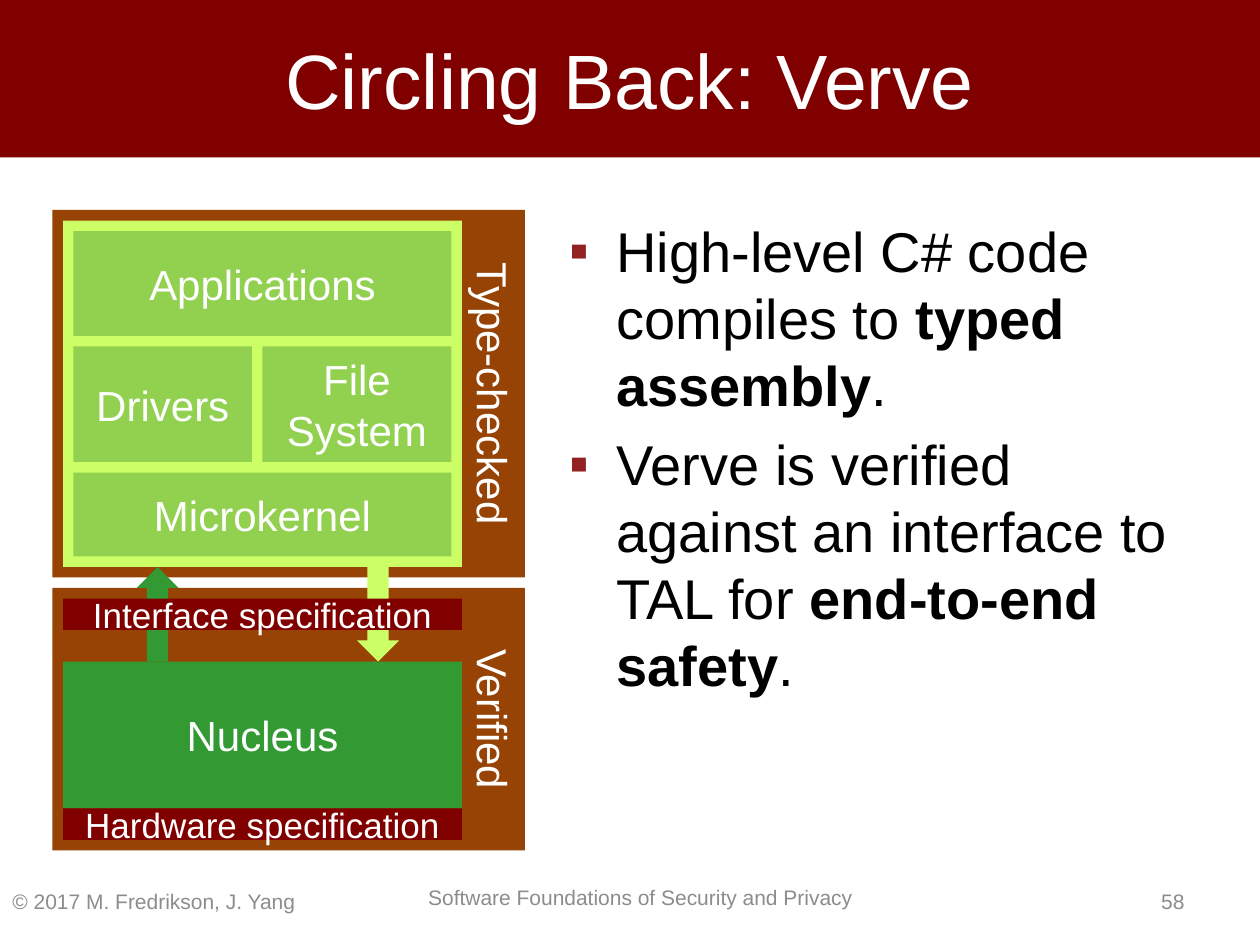
from lxml import etree
from pptx import Presentation
from pptx.dml.color import RGBColor
from pptx.enum.shapes import MSO_SHAPE
from pptx.enum.text import MSO_ANCHOR, MSO_AUTO_SIZE, PP_ALIGN
from pptx.oxml.ns import qn
from pptx.util import Pt

RECT, UP, DOWN = MSO_SHAPE.RECTANGLE, MSO_SHAPE.UP_ARROW, MSO_SHAPE.DOWN_ARROW
TOP, MIDDLE = MSO_ANCHOR.TOP, MSO_ANCHOR.MIDDLE
LEFT, CENTER, RIGHT = PP_ALIGN.LEFT, PP_ALIGN.CENTER, PP_ALIGN.RIGHT
NO_AUTOFIT = MSO_AUTO_SIZE.NONE

MAROON, BROWN, GREEN = "800000", "964305", "339933"
LIME, LEAF, WHITE, GREY = "CCFF66", "92D050", "FFFFFF", "8C8C8C"


def rgb(color):
    return RGBColor.from_string(color)


def set_text(shape, text, size, color, align=CENTER, anchor=MIDDLE):
    frame = shape.text_frame
    frame.word_wrap = True
    frame.auto_size = NO_AUTOFIT
    frame.vertical_anchor = anchor
    frame.text = text
    paragraph = frame.paragraphs[0]
    paragraph.alignment = align
    paragraph.font.name = "Arial"
    paragraph.font.size = Pt(size)
    paragraph.font.color.rgb = rgb(color)


prs = Presentation()
prs.slide_width, prs.slide_height = Pt(720), Pt(540)
slide = prs.slides.add_slide(prs.slide_layouts[1])

# Title banner
title = slide.shapes.title
title.left, title.top, title.width, title.height = Pt(0), Pt(0), Pt(720), Pt(90)
title.fill.solid()
title.fill.fore_color.rgb = rgb(MAROON)
set_text(title, "Circling Back: Verve", 44, WHITE)

# Bullet list
points = [
    [("High-level C# code compiles to ", False), ("typed assembly", True), (".", False)],
    [("Verve is verified against an interface to TAL for ", False),
     ("end-to-end safety", True), (".", False)],
]
body = slide.placeholders[1]
body.left, body.top, body.width, body.height = Pt(318), Pt(120), Pt(378), Pt(348)
body.text_frame.auto_size = NO_AUTOFIT
for number, point in enumerate(points):
    paragraph = body.text_frame.paragraphs[0] if number == 0 else body.text_frame.add_paragraph()
    paragraph.space_before = Pt(6.4 if number else 0)
    props = paragraph._p.get_or_add_pPr()
    props.set("marL", str(Pt(27)))
    props.set("indent", str(Pt(-27)))
    bullet_color = etree.SubElement(props, qn("a:buClr"))
    etree.SubElement(bullet_color, qn("a:srgbClr"), val="922222")
    etree.SubElement(props, qn("a:buFont"), typeface="Arial")
    etree.SubElement(props, qn("a:buChar"), char="▪")
    paragraph.font.name = "Arial"
    paragraph.font.size = Pt(32)
    paragraph.font.color.rgb = rgb("000000")
    for words, bold in point:
        run = paragraph.add_run()
        run.text = words
        if bold:
            run.font.bold = True

# Architecture diagram, back to front: shape, left, top, width, height, fill, label, size
parts = [
    (RECT, 30, 336, 270, 150, BROWN, "Verified", 24),
    (RECT, 30, 120, 270, 210, BROWN, "Type-checked", 24),
    (RECT, 36, 378, 228, 84, GREEN, "Nucleus", 24),
    (RECT, 36, 126, 228, 198, LIME, "", 24),
    (RECT, 150, 198, 108, 66, LEAF, "File System", 24),
    (RECT, 42, 198, 102, 66, LEAF, "Drivers", 24),
    (RECT, 42, 132, 216, 60, LEAF, "Applications", 24),
    (RECT, 42, 270, 216, 48, LEAF, "Microkernel", 24),
    (DOWN, 204, 324, 24, 54, LIME, "", 24),
    (UP, 78, 324, 24, 54, GREEN, "", 24),
    (RECT, 36, 462, 228, 18, MAROON, "Hardware specification", 20),
    (RECT, 36, 342, 228, 18, MAROON, "Interface specification", 20),
]
for kind, left, top, width, height, fill, label, size in parts:
    part = slide.shapes.add_shape(kind, Pt(left), Pt(top), Pt(width), Pt(height))
    part.shadow.inherit = False
    part.fill.solid()
    part.fill.fore_color.rgb = rgb(fill)
    part.line.fill.background()
    if label:
        side_label = fill == BROWN
        set_text(part, label, size, WHITE, anchor=TOP if side_label else MIDDLE)
        if side_label:
            part.text_frame._txBody.bodyPr.set("vert", "vert")

# Footer
footers = [
    (0, 500.4, 228, "© 2017 M. Fredrikson, J. Yang", LEFT),
    (237.6, 498.24, 259.2, "Software Foundations of Security and Privacy", LEFT),
    (516.24, 500.4, 167.76, "58", RIGHT),
]
for left, top, width, text, align in footers:
    footer = slide.shapes.add_textbox(Pt(left), Pt(top), Pt(width), Pt(28.8))
    set_text(footer, text, 12, GREY, align)

prs.save("out.pptx")
